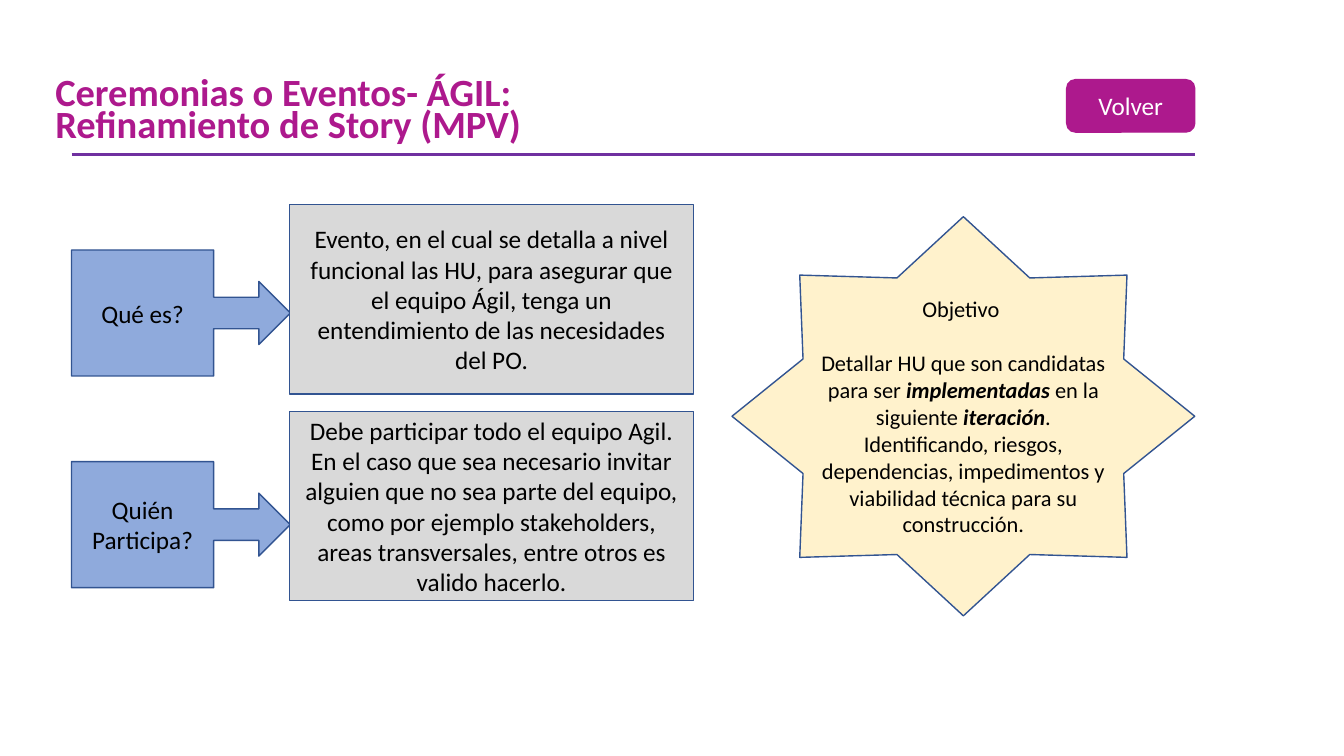
from lxml.etree import SubElement
from pptx import Presentation
from pptx.dml.color import RGBColor
from pptx.enum.shapes import MSO_CONNECTOR as Connector, MSO_SHAPE as Shape
from pptx.enum.text import MSO_ANCHOR as Anchor, PP_ALIGN as Align
from pptx.oxml.ns import qn
from pptx.util import Inches, Pt

MAGENTA = RGBColor(0xAD, 0x19, 0x8D)
PURPLE = RGBColor(0x70, 0x30, 0xA0)
BLUE = RGBColor(0x8F, 0xAA, 0xDC)
OUTLINE = RGBColor(0x32, 0x54, 0x91)
GREY = RGBColor(0xD9, 0xD9, 0xD9)
CREAM = RGBColor(0xFF, 0xF2, 0xCC)
BLACK = RGBColor(0, 0, 0)
WHITE = RGBColor(0xFF, 0xFF, 0xFF)

QUESTIONS = [
    ("Qué es?", 0.45,
     "Evento, en el cual se detalla a nivel funcional las HU, para asegurar que el equipo "
     "Ágil, tenga un entendimiento de las necesidades del PO."),
    ("Quién Participa?", 0.5,
     "Debe participar todo el equipo Agil. En el caso que sea necesario invitar alguien que "
     "no sea parte del equipo, como por ejemplo stakeholders, areas transversales, entre "
     "otros es valido hacerlo."),
]
GOAL = [
    ("Detallar HU que son candidatas para ser ", False),
    ("implementadas", True),
    (" en la siguiente ", False),
    ("iteración", True),
    (". Identificando, riesgos, dependencias, impedimentos y viabilidad técnica para su "
     "construcción.", False),
]


def add_run(paragraph, text, size, color, bold=False, italic=False):
    """Append one formatted run to a paragraph."""
    run = paragraph.add_run()
    run.text = text
    run.font.name = "Calibri"
    run.font.size = Pt(size)
    run.font.color.rgb = color
    run.font.bold = bold
    run.font.italic = italic


def add_block(slide, kind, left, top, width, height, fill, outline=OUTLINE):
    """Add a filled shape and return its centred first paragraph and text frame."""
    shape = slide.shapes.add_shape(
        kind, Inches(left), Inches(top), Inches(width), Inches(height))
    shape.shadow.inherit = False
    shape.fill.solid()
    shape.fill.fore_color.rgb = fill
    shape.line.color.rgb = outline
    shape.line.width = Pt(1)
    frame = shape.text_frame
    frame.word_wrap = True
    frame.vertical_anchor = Anchor.MIDDLE
    frame.paragraphs[0].alignment = Align.CENTER
    return frame.paragraphs[0], frame


def add_header(slide, left, top, width):
    """Add the title, the rule beneath it and the return button."""
    title = slide.shapes.add_textbox(
        Inches(left - 0.26), Inches(top), Inches(width + 0.52), Inches(0.82))
    frame = title.text_frame
    frame.word_wrap = True
    frame.vertical_anchor = Anchor.MIDDLE
    lines = ["Ceremonias o Eventos- ÁGIL:", "Refinamiento de Story (MPV)"]
    for index, text in enumerate(lines):
        paragraph = frame.add_paragraph() if index else frame.paragraphs[0]
        paragraph.line_spacing = 0.7
        add_run(paragraph, text, 27.5, MAGENTA, bold=True)

    rule_top = Inches(top + 0.82)
    rule = slide.shapes.add_connector(
        Connector.STRAIGHT, Inches(left), rule_top, Inches(left + width), rule_top)
    rule.line.color.rgb = PURPLE
    rule.line.width = Pt(2.25)
    SubElement(rule._element.spPr, qn("a:effectLst"))

    button, _ = add_block(slide, Shape.ROUNDED_RECTANGLE, left + width - 1.27,
                          top + 0.08, 1.27, 0.52, MAGENTA, MAGENTA)
    add_run(button, "Volver", 18, WHITE)


def add_question(slide, left, top, question, callout_offset, answer):
    """Add a question callout pointing at its answer box."""
    label, _ = add_block(slide, Shape.RIGHT_ARROW_CALLOUT, left, top + callout_offset,
                         2.17, 1.25, BLUE)
    add_run(label, question, 18, BLACK)
    reply, _ = add_block(slide, Shape.FLOWCHART_PROCESS, left + 2.16, top, 4.01, 1.88, GREY)
    add_run(reply, answer, 18, BLACK)


def add_goal(slide, left, top, width, height):
    """Add the star that states the goal of the event."""
    heading, frame = add_block(slide, Shape.STAR_8_POINT, left, top, width, height, CREAM)
    add_run(heading, "Objetivo ", 16, BLACK)
    detail = frame.add_paragraph()
    detail.alignment = Align.CENTER
    detail.space_before = Pt(19.5)
    for text, strong in GOAL:
        add_run(detail, text, 16, BLACK, bold=strong, italic=strong)


def main():
    """Build the slide and save it."""
    presentation = Presentation()
    presentation.slide_width = Inches(13.33)
    presentation.slide_height = Inches(7.5)
    slide = presentation.slides.add_slide(presentation.slide_layouts[6])
    add_header(slide, 0.71, 0.71, 11.14)
    for index, (question, offset, answer) in enumerate(QUESTIONS):
        add_question(slide, 0.71, 2.03 + index * 2.05, question, offset, answer)
    add_goal(slide, 7.26, 2.15, 4.59, 3.96)
    presentation.save("out.pptx")


if __name__ == "__main__":
    main()
